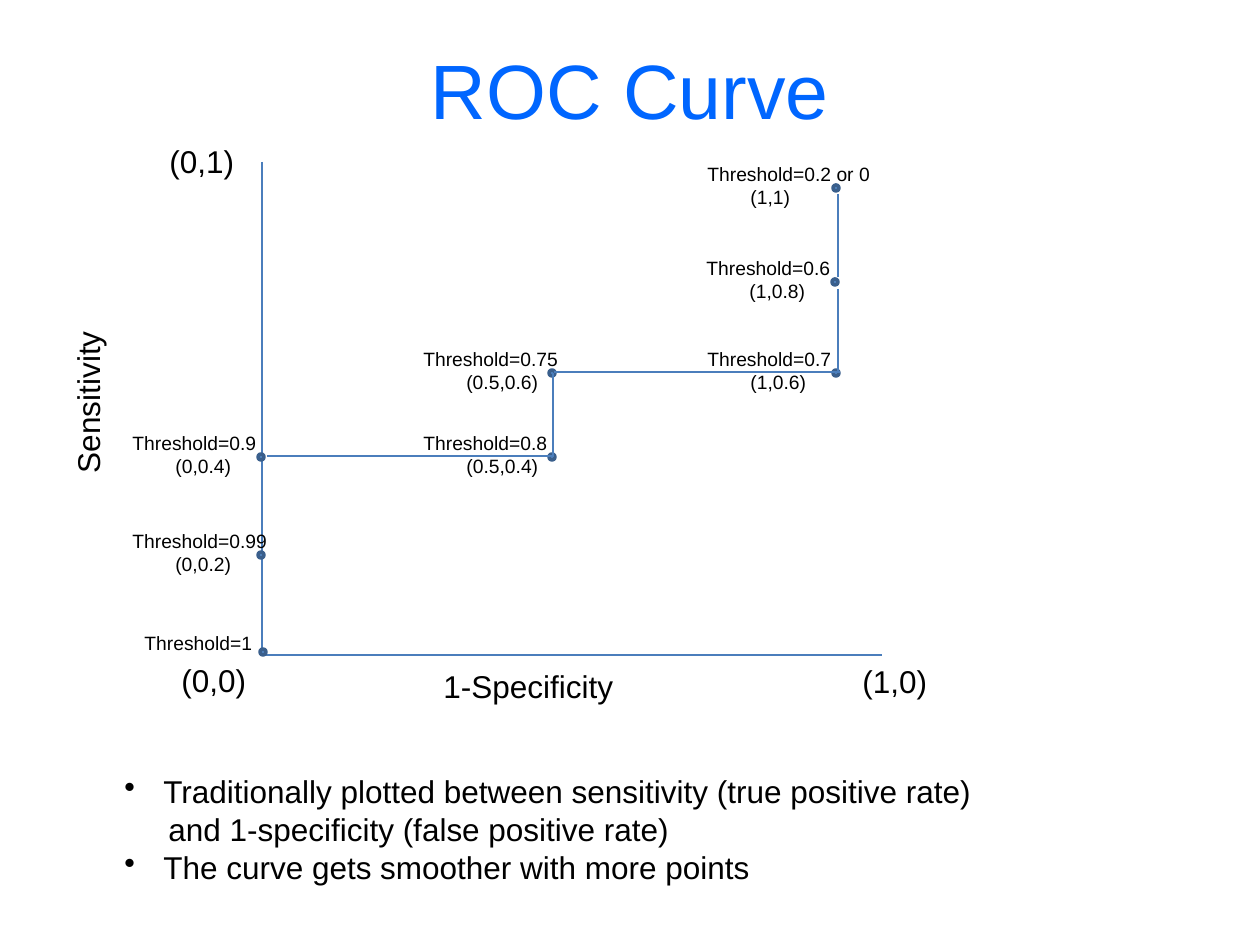
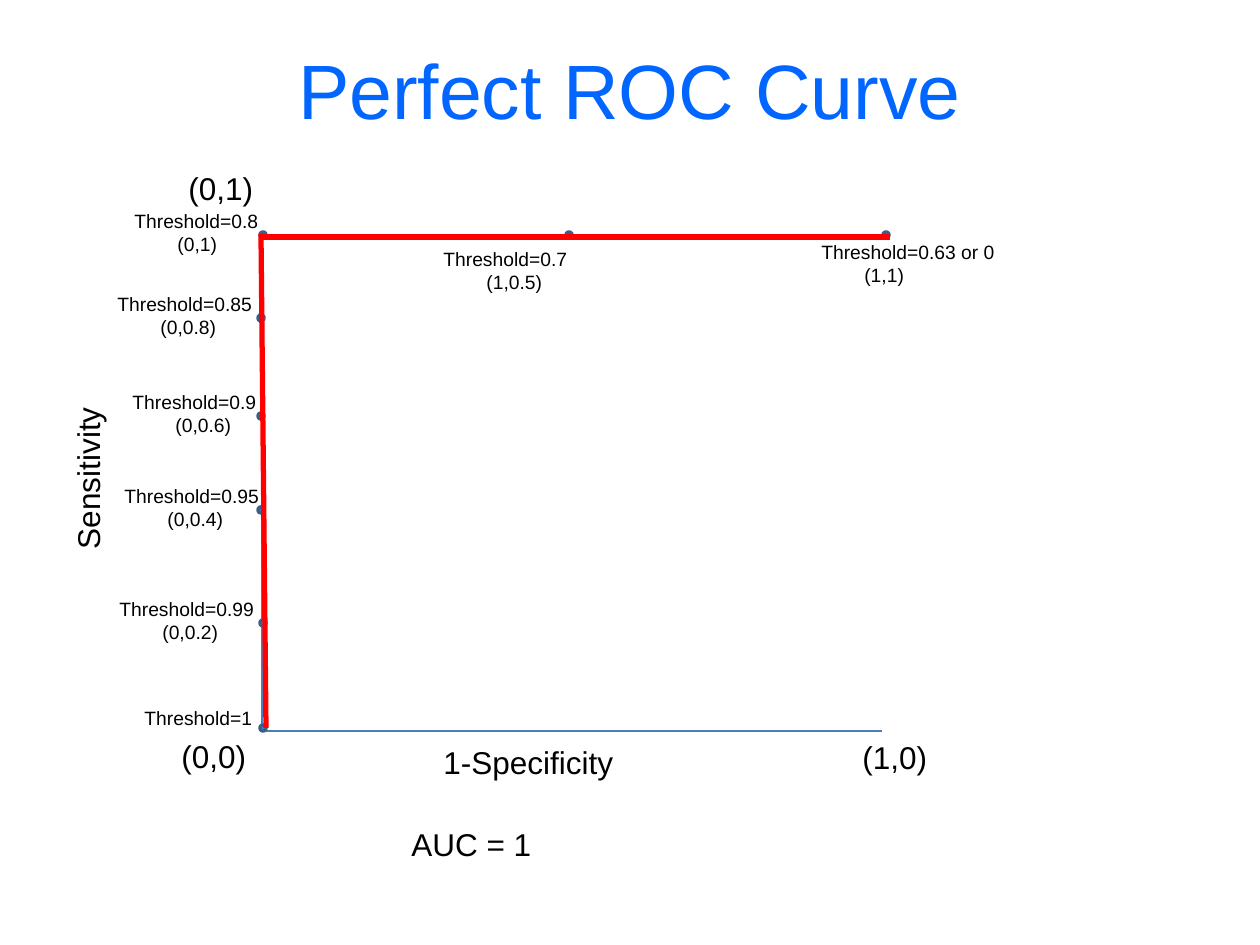
from lxml import etree
from pptx import Presentation
from pptx.dml.color import RGBColor
from pptx.enum import shapes, text
from pptx.oxml import ns
from pptx import util as u

PX = u.Inches(1) / 126
BLACK = RGBColor(0, 0, 0)
TITLE_BLUE = RGBColor(0x00, 0x66, 0xFF)
LINE_BLUE = RGBColor(0x4B, 0x7E, 0xBC)
DOT_FILL = RGBColor(0x4F, 0x81, 0xBD)
DOT_EDGE = RGBColor(0x3A, 0x5F, 0x8C)
RED = RGBColor(0xFF, 0, 0)
FONT = "Arial"

AXIS_X, AXIS_WIDTH, AXIS_HEIGHT = 262, 620, 493
DOT = 6
BULLET_INDENT = 39
COORDINATE_INDENT = 43


def px(*lengths):
    return [round(length * PX) for length in lengths]


def add_text(parent, box, lines, size=18, color=BLACK, align=None, wrap=False,
             grow=True, anchor=text.MSO_ANCHOR.TOP, rotation=0):
    """Each line is (text, left indent in px, has bullet)."""
    label = parent.add_textbox(*px(*box))
    label.rotation = rotation
    frame = label.text_frame
    frame.word_wrap = wrap
    frame.auto_size = (text.MSO_AUTO_SIZE.SHAPE_TO_FIT_TEXT if grow
                       else text.MSO_AUTO_SIZE.NONE)
    frame.vertical_anchor = anchor
    for number, (words, indent, bullet) in enumerate(lines):
        para = frame.add_paragraph() if number else frame.paragraphs[0]
        if align is not None:
            para.alignment = align
        if indent:
            left = px(indent)[0]
            properties = para._p.get_or_add_pPr()
            properties.set("marL", str(left))
            properties.set("indent", str(-left if bullet else 0))
            if bullet:
                mark = etree.SubElement(properties, ns.qn("a:buChar"))
                mark.set("char", "•")
        span = para.add_run()
        span.text = words
        span.font.name = FONT
        span.font.size = u.Pt(size)
        span.font.color.rgb = color


def add_line(page, start, end, color=LINE_BLUE, width=0.75):
    line = page.shapes.add_connector(shapes.MSO_CONNECTOR.STRAIGHT,
                                     *px(*start, *end))
    line.line.color.rgb = color
    line.line.width = u.Pt(width)
    etree.SubElement(line._element.spPr, ns.qn("a:effectLst"))


def add_title(page, title):
    add_text(page.shapes, (63, 10, 1134, 158), [(title, 0, False)], size=44,
             color=TITLE_BLUE, align=text.PP_ALIGN.CENTER, wrap=True,
             grow=False, anchor=text.MSO_ANCHOR.MIDDLE)


def add_axes(page, origin, top_label):
    """Axes from the origin, with their names and the corner coordinates."""
    x, y = origin
    add_line(page, (x, y - AXIS_HEIGHT), origin)
    add_line(page, origin, (x + AXIS_WIDTH, y))
    corners = [("(0,0)", -93, 0), ("(0,1)", *top_label), ("(1,0)", 588, 1)]
    for words, dx, dy in corners:
        add_text(page.shapes, (x + dx, y + dy, 91, 50), [(words, 0, False)])
    add_text(page.shapes, (x + 169, y + 6, 197, 50),
             [("1-Specificity", 0, False)])
    add_text(page.shapes, (x - 259, y - 279, 169, 50),
             [("Sensitivity", 0, False)], rotation=270)


def add_point(page, origin, x, y, threshold, coordinate, dx=-141, dy=-32):
    """A dot and its threshold label, grouped; dx, dy lead to the label."""
    x, y = origin[0] + x, origin[1] + y
    group = page.shapes.add_group_shape().shapes
    dot = group.add_shape(shapes.MSO_SHAPE.OVAL,
                          *px(x - DOT / 2, y - DOT / 2, DOT, DOT))
    dot.shadow.inherit = False
    dot.fill.solid()
    dot.fill.fore_color.rgb = DOT_FILL
    dot.line.color.rgb = DOT_EDGE
    dot.line.width = u.Pt(2)
    name = "Threshold=" + threshold
    lines = [(name, 0, False)]
    if coordinate:
        lines.append((coordinate, COORDINATE_INDENT, False))
    add_text(group, (x + dx, y + dy, 10 * len(name) + 25, 13 + 23 * len(lines)),
             lines, size=11)


def add_roc_plot(page, baseline, top_label, points, segments):
    """A plot whose parts are all measured from its origin."""
    origin = (AXIS_X, baseline)
    add_axes(page, origin, top_label)
    for point in points:
        add_point(page, origin, *point)
    for (x1, y1, x2, y2), *style in segments:
        add_line(page, (AXIS_X + x1, baseline + y1),
                 (AXIS_X + x2, baseline + y2), *style)


def build_roc_slide(page):
    add_title(page, "ROC Curve")
    points = [
        (1, -3, "1", "", -131, -27),
        (-1, -100, "0.99", "(0,0.2)"),
        (-1, -198, "0.9", "(0,0.4)"),
        (290, -198, "0.8", "(0.5,0.4)"),
        (290, -282, "0.75", "(0.5,0.6)"),
        (574, -282, "0.7", "(1,0.6)"),
        (573, -373, "0.6", "(1,0.8)"),
        (574, -467, "0.2 or 0", "(1,1)"),
    ]
    steps = [
        (5, -199, 290, -199),
        (291, -282, 291, -198),
        (292, -283, 578, -283),
        (576, -366, 576, -283),
        (576, -461, 576, -378),
    ]
    add_roc_plot(page, 655, (-105, -519), points, [(step,) for step in steps])
    # Remarks under the plot
    add_text(page.shapes, (112, 766, 1085, 127), [
        ("Traditionally plotted between sensitivity (true positive rate)",
         BULLET_INDENT, True),
        ("and 1-specificity (false positive rate)", 44, False),
        ("The curve gets smoother with more points", BULLET_INDENT, True),
    ], wrap=True)


def build_perfect_slide(page):
    add_title(page, "Perfect ROC Curve")
    points = [
        (1, -3, "1", "", -131, -28),
        (1, -108, "0.99", "(0,0.2)", -156),
        (-1, -221, "0.95", "(0,0.4)", -149),
        (-1, -315, "0.9", "(0,0.6)"),
        (-1, -413, "0.85", "(0,0.8)", -156),
        (1, -496, "0.8", "(0,1)"),
        (307, -496, "0.7", "(1,0.5)", -138, 6),
        (624, -496, "0.63 or 0", "(1,1)", -77, -1),
    ]
    segments = [
        ((0, -495, 620, -495),),
        ((4, -3, -1, -497), RED, 3),
        ((628, -494, 0, -494), RED, 3),
    ]
    add_roc_plot(page, 731, (-86, -568), points, segments)
    # Area under the curve
    add_text(page.shapes, (399, 819, 752, 50), [("AUC = 1", 0, False)],
             wrap=True)


def main():
    deck = Presentation()
    deck.slide_width, deck.slide_height = px(1260, 945)
    for build in (build_roc_slide, build_perfect_slide):
        build(deck.slides.add_slide(deck.slide_layouts[6]))
    deck.save("out.pptx")


if __name__ == "__main__":
    main()
